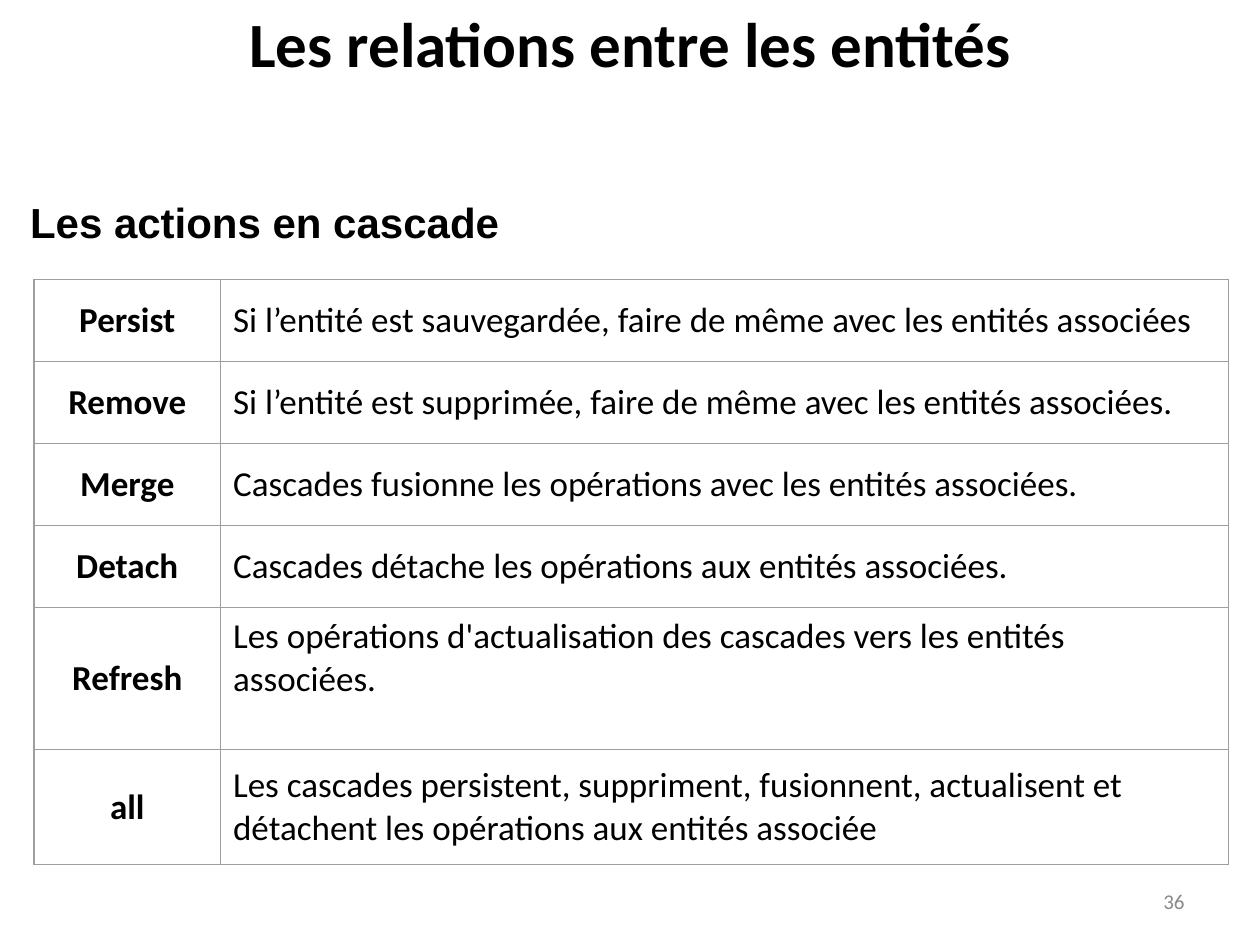
from dataclasses import dataclass

from lxml import etree
from pptx import Presentation
from pptx.dml.color import RGBColor
from pptx.enum import text
from pptx.oxml import ns
from pptx.util import Inches, Pt


@dataclass(frozen=True)
class Theme:
    body_font: str = "Calibri"
    heading_font: str = "Arial"
    ink: str = "000000"
    muted: str = "898989"
    border: str = "9E9E9E"
    border_pt: float = 0.75
    title_pt: int = 36
    heading_pt: int = 24
    body_pt: int = 20
    number_pt: int = 12


@dataclass(frozen=True)
class Style:
    font: str
    size: int
    color: str
    bold: bool = False
    align: text.PP_ALIGN = text.PP_ALIGN.LEFT


@dataclass(frozen=True)
class Label:
    words: str
    box: tuple[float, float, float, float]
    style: Style
    anchor: text.MSO_ANCHOR = text.MSO_ANCHOR.MIDDLE


@dataclass(frozen=True)
class Action:
    name: str
    effect: str
    height: float = 0.65
    bottom: float = 0.05


T = Theme()
CENTER, RIGHT = text.PP_ALIGN.CENTER, text.PP_ALIGN.RIGHT
NAME = Style(T.body_font, T.body_pt, T.ink, True, CENTER)
EFFECT = Style(T.body_font, T.body_pt, T.ink)
LABELS = [
    Label("36", (7.17, 6.95, 2.33, 0.4),
          Style(T.body_font, T.number_pt, T.muted, align=RIGHT)),
    Label("Les actions en cascade", (0.14, 1.51, 6.8, 0.4),
          Style(T.heading_font, T.heading_pt, T.ink, True), text.MSO_ANCHOR.TOP),
    Label("Les relations entre les entités", (0, -0.29, 10, 1.25),
          Style(T.body_font, T.title_pt, T.ink, True, CENTER)),
]
ACTIONS = [
    Action("Persist", "Si l’entité est sauvegardée, faire de même avec les entités associées"),
    Action("Remove", "Si l’entité est supprimée, faire de même avec les entités associées."),
    Action("Merge", "Cascades fusionne les opérations avec les entités associées."),
    Action("Detach", "Cascades détache les opérations aux entités associées."),
    Action("Refresh", "Les opérations d'actualisation des cascades vers les entités associées.",
           1.13, 0.38),
    Action("all", "Les cascades persistent, suppriment, fusionnent, actualisent et "
           "détachent les opérations aux entités associée", 0.91),
]
COLUMNS = (1.48, 8)


def write(tf, words: str, style: Style) -> None:
    p = tf.paragraphs[0]
    p.alignment = style.align
    r = p.add_run()
    r.text = words
    r.font.name, r.font.size, r.font.bold = style.font, Pt(style.size), style.bold
    r.font.color.rgb = RGBColor.from_string(style.color)


def add_label(s, label: Label) -> None:
    tf = s.shapes.add_textbox(*map(Inches, label.box)).text_frame
    tf.word_wrap = True
    tf.vertical_anchor = label.anchor
    write(tf, label.words, label.style)


def add_borders(cell) -> None:
    tc_pr = cell._tc.get_or_add_tcPr()
    for i, side in enumerate(("lnL", "lnR", "lnT", "lnB")):
        ln = etree.Element(ns.qn(f"a:{side}"), w=str(Pt(T.border_pt)))
        fill = etree.SubElement(ln, ns.qn("a:solidFill"))
        etree.SubElement(fill, ns.qn("a:srgbClr"), val=T.border)
        tc_pr.insert(i, ln)


def add_actions(s, actions: list[Action]) -> None:
    size = sum(COLUMNS), sum(a.height for a in actions)
    table = s.shapes.add_table(len(actions), len(COLUMNS),
                               *map(Inches, (0.27, 2.22, *size))).table
    table.first_row = table.horz_banding = False
    for column, width in zip(table.columns, COLUMNS):
        column.width = Inches(width)
    for row, action in zip(table.rows, actions):
        row.height = Inches(action.height)
        for cell, words, style in zip(row.cells, (action.name, action.effect), (NAME, EFFECT)):
            cell.fill.background()
            cell.vertical_anchor = text.MSO_ANCHOR.MIDDLE
            write(cell.text_frame, words, style)
            add_borders(cell)
        row.cells[1].margin_bottom = Inches(action.bottom)


def main() -> None:
    """Build the slide on cascade actions between entities."""
    prs = Presentation()
    prs.slide_width, prs.slide_height = Inches(10), Inches(7.5)
    s = prs.slides.add_slide(prs.slide_layouts[6])
    for label in LABELS:
        add_label(s, label)
    add_actions(s, ACTIONS)
    prs.save("out.pptx")


if __name__ == "__main__":
    main()
